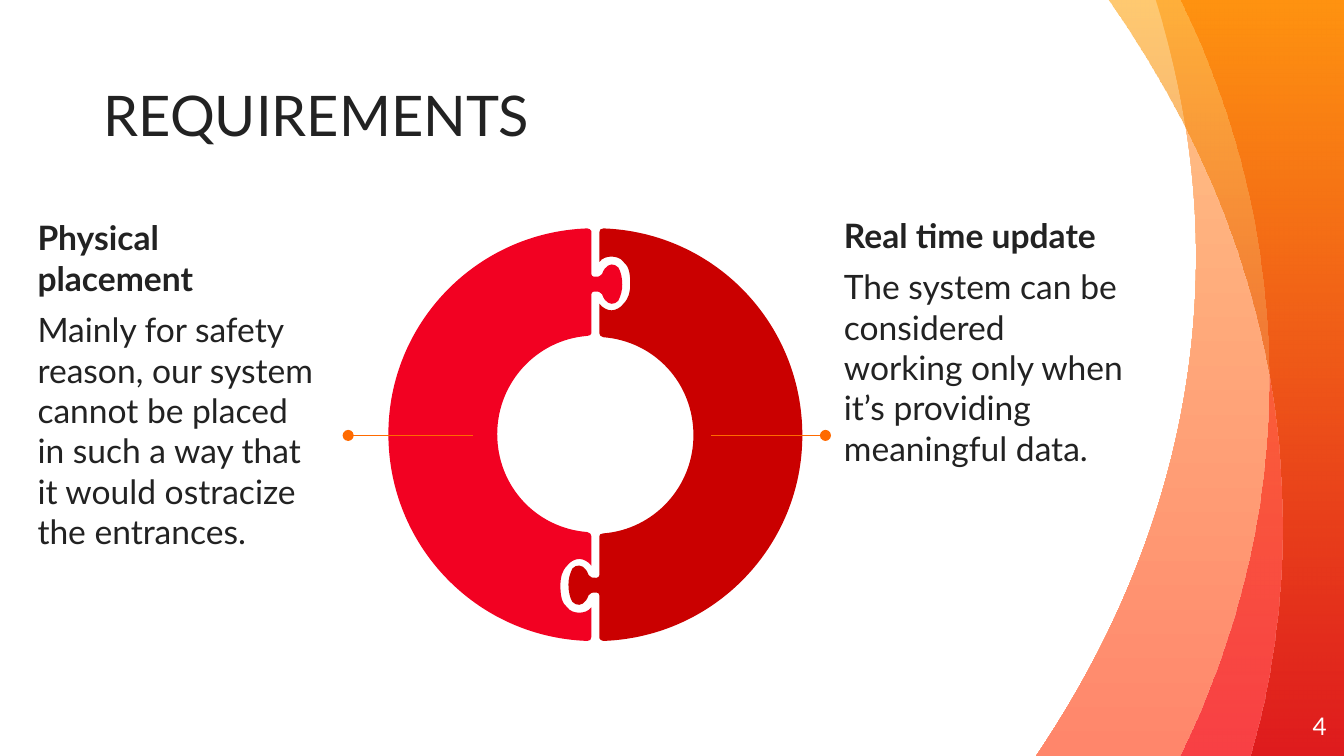
from lxml import etree
from pptx import Presentation
from pptx.dml.color import RGBColor
from pptx.enum.shapes import MSO_CONNECTOR
from pptx.enum.text import MSO_ANCHOR, PP_ALIGN
from pptx.oxml.ns import qn
from pptx.util import Cm, Pt

STRAIGHT = MSO_CONNECTOR.STRAIGHT
TOP, MIDDLE, BOTTOM = MSO_ANCHOR.TOP, MSO_ANCHOR.MIDDLE, MSO_ANCHOR.BOTTOM
LEFT, RIGHT = PP_ALIGN.LEFT, PP_ALIGN.RIGHT

WHITE = RGBColor(0xFF, 0xFF, 0xFF)
INK = RGBColor(0x22, 0x22, 0x22)
ORANGE = RGBColor(0xFF, 0x6A, 0x00)
AMBER = RGBColor(0xFF, 0x9F, 0x00)
PEACH = RGBColor(0xFF, 0xC4, 0x86)
CORAL = RGBColor(0xFF, 0x86, 0x6B)
RED = RGBColor(0xF2, 0x01, 0x22)
CRIMSON = RGBColor(0xCC, 0x00, 0x00)
DARK_RED = RGBColor(0xCA, 0x00, 0x00)

FONT = "Lato"
UNIT = Cm(0.0254)
PAGE_RIGHT, PAGE_BOTTOM = 1000, 562.5
RING_CENTRE = (443, 323.5)

WAVES = [
    ((890, 191), [(890, 125, 879, 61, 860, 0), (PAGE_RIGHT, 0), (PAGE_RIGHT, PAGE_BOTTOM),
                  (771, PAGE_BOTTOM), (847, 450, 890, 324, 890, 191)],
     [(PEACH, 100), (CORAL, 100)], 270),
    ((944, 282), [(944, 184, 921, 89, 878, 0), (PAGE_RIGHT, 0), (PAGE_RIGHT, PAGE_BOTTOM),
                  (878, PAGE_BOTTOM), (920, 476, 944, 381, 944, 282)],
     [(RED, 52), (ORANGE, 72)], 90),
    ((954, 391), [(954, 251, 908, 119, 825, 0), (PAGE_RIGHT, 0), (PAGE_RIGHT, PAGE_BOTTOM),
                  (930, PAGE_BOTTOM), (946, 508, 954, 450, 954, 391)],
     [(AMBER, 56), (CRIMSON, 57)], 270),
]

PIECE_START = (440, 452)
PIECE_SEGMENTS = [
    (438, 455, 434, 456, 431, 456), (428, 456, 424, 455, 422, 452),
    (418, 449, 417, 443, 417, 436), (417, 430, 418, 425, 422, 421),
    (424, 418, 428, 416, 431, 416), (434, 416, 438, 418, 440, 421),
    (440, 399), (440, 398, 439, 396, 437, 396),
    (399, 393, 370, 362, 370, 323), (370, 285, 399, 253, 437, 250),
    (439, 250, 440, 249, 440, 248), (440, 219),
    (440, 218, 441, 217, 442, 217), (445, 217, 447, 217, 448, 219),
    (449, 221, 449, 222, 450, 223), (453, 227, 457, 227, 460, 224),
    (462, 220, 463, 216, 463, 212), (463, 207, 462, 202, 460, 199),
    (457, 196, 453, 196, 450, 200), (449, 201, 449, 202, 448, 204),
    (447, 206, 445, 206, 442, 206), (441, 206, 440, 205, 440, 204),
    (440, 172), (440, 171, 438, 170, 437, 170),
    (354, 173, 289, 241, 289, 323), (289, 406, 354, 474, 437, 477),
    (439, 477, 440, 476, 440, 474),
]

REQUIREMENTS = [
    (0.71, 4.11, "Physical placement",
     "Mainly for safety reason, our system cannot be placed in such a way "
     "that it would ostracize the entrances."),
    (15.95, 4.06, "Real time update",
     "The system can be considered working only when it’s providing "
     "meaningful data."),
]
POINTERS = [(8.94, 6.58), (13.44, 15.6)]
POINTER_Y = 8.23


def set_attributes(target, values):
    for name, value in values.items():
        setattr(target, name, value)


def half_turn(numbers):
    return tuple(2 * RING_CENTRE[index % 2] - value for index, value in enumerate(numbers))


def add_outline(page, start, segments):
    points = [(segment[i] * UNIT, segment[i + 1] * UNIT)
              for segment in segments for i in range(0, len(segment), 2)]
    builder = page.shapes.build_freeform(start[0] * UNIT, start[1] * UNIT, scale=1.0)
    builder.add_line_segments(points, close=True)
    shape = builder.convert_to_shape()
    bend_curves(shape, segments)
    shape.shadow.inherit = False
    shape.line.fill.background()
    return shape


def bend_curves(shape, segments):
    steps = iter(list(shape._element.iter(qn("a:lnTo"))))
    for segment in segments:
        group = [next(steps) for _ in range(len(segment) // 2)]
        if len(group) == 3:
            curve = etree.Element(qn("a:cubicBezTo"))
            group[0].addprevious(curve)
            for step in group:
                curve.append(step[0])
                step.getparent().remove(step)


def add_wave(page, start, segments, stops, angle):
    fill = add_outline(page, start, segments).fill
    fill.gradient()
    fill.gradient_angle = angle
    for stop, (color, opacity) in zip(fill.gradient_stops, stops):
        stop.color.rgb = color
        if opacity < 100:
            node = stop._gs.find(qn("a:srgbClr"))
            etree.SubElement(node, qn("a:alpha")).set("val", str(opacity * 1000))


def add_piece(page, start, segments, color):
    shape = add_outline(page, start, segments)
    shape.fill.solid()
    shape.fill.fore_color.rgb = color


def add_text(page, place, lines, size, color=INK, anchor=TOP, align=LEFT, before=0):
    box = page.shapes.add_textbox(*(Cm(value) for value in place))
    frame = box.text_frame
    set_attributes(frame, {"word_wrap": True, "vertical_anchor": anchor,
                           "margin_left": 0, "margin_right": 0,
                           "margin_top": 0, "margin_bottom": 0})
    for index, (text, bold) in enumerate(lines):
        para = frame.add_paragraph() if index else frame.paragraphs[0]
        set_attributes(para, {"alignment": align, "space_before": Pt(before)})
        span = para.add_run()
        span.text = text
        set_attributes(span.font, {"name": FONT, "size": Pt(size), "bold": bold})
        span.font.color.rgb = color


def add_pointer(page, inner, outer):
    pointer = page.shapes.add_connector(
        STRAIGHT, Cm(inner), Cm(POINTER_Y), Cm(outer), Cm(POINTER_Y))
    pointer.line.width = Pt(0.75)
    pointer.line.color.rgb = ORANGE
    line = pointer.line._get_or_add_ln()
    etree.SubElement(line, qn("a:tailEnd")).set("type", "oval")
    etree.SubElement(pointer._element.spPr, qn("a:effectLst"))


def main():
    deck = Presentation()
    set_attributes(deck, {"slide_width": Cm(25.4), "slide_height": Cm(14.29)})
    page = deck.slides.add_slide(deck.slide_layouts[6])

    for wave in WAVES:
        add_wave(page, *wave)

    add_text(page, (1.96, 0.74, 17.45, 2.06), [("REQUIREMENTS", False)], 30, anchor=BOTTOM)
    for left, top, heading, detail in REQUIREMENTS:
        add_text(page, (left, top, 5.28, 8.23), [(heading, True), (detail, False)], 18, before=6)
    add_text(page, (23.55, 13.18, 1.52, 1.09), [("4", False)], 13, WHITE, MIDDLE, RIGHT)

    add_piece(page, PIECE_START, PIECE_SEGMENTS, RED)
    add_piece(page, half_turn(PIECE_START), [half_turn(s) for s in PIECE_SEGMENTS], DARK_RED)
    for inner, outer in POINTERS:
        add_pointer(page, inner, outer)

    deck.save("out.pptx")


if __name__ == "__main__":
    main()
